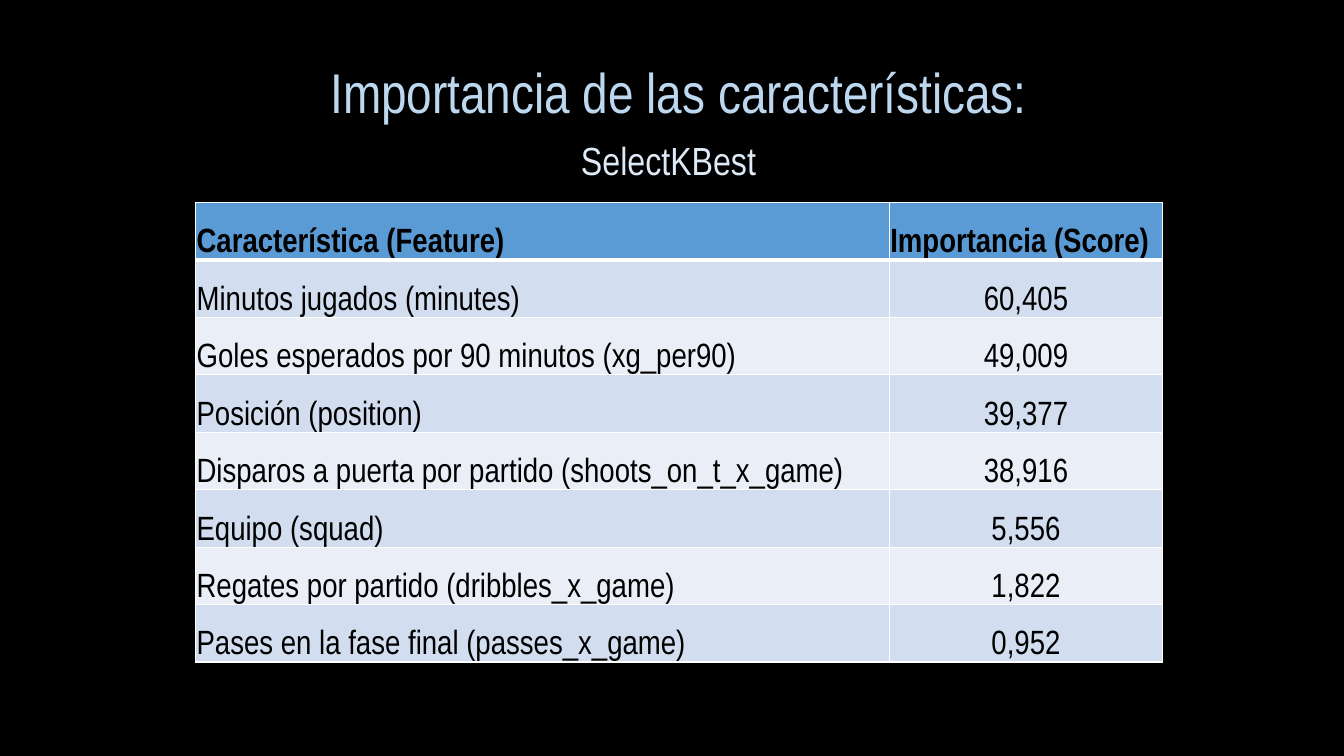
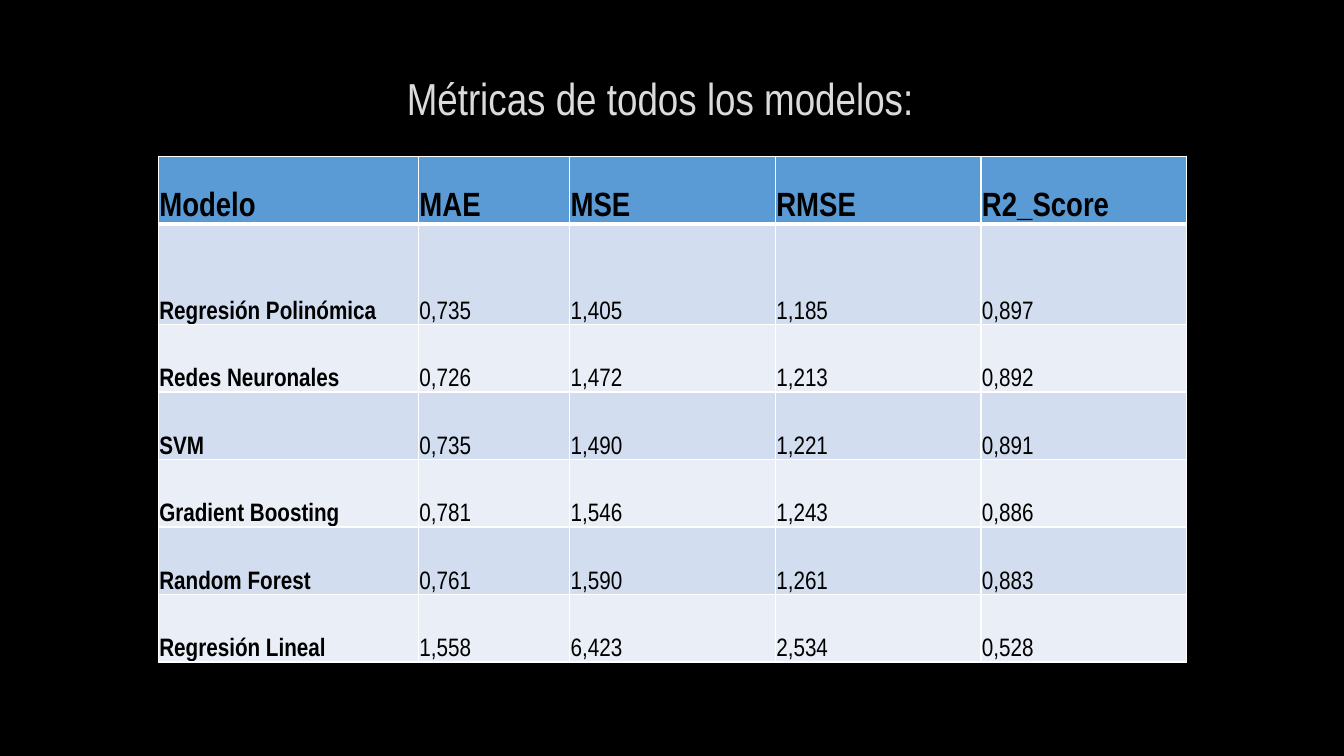
import dataclasses

import lxml.etree
import pptx
import pptx.dml.color
import pptx.enum.text
import pptx.oxml.ns
import pptx.util

Inches = pptx.util.Inches
Pt = pptx.util.Pt
Align = pptx.enum.text.PP_ALIGN
Anchor = pptx.enum.text.MSO_ANCHOR


@dataclasses.dataclass(frozen=True)
class Theme:
    font: str = "Arial Narrow"
    background: str = "000000"
    text: str = "000000"
    title_blue: str = "BDD7EE"
    subtitle_blue: str = "DEEBF7"
    title_gray: str = "DBDBDB"
    header_fill: str = "5B9BD5"
    band_fills: tuple = ("D2DEEF", "EAEFF7")
    border: str = "FFFFFF"
    thin_border: int = 1
    thick_border: int = 3
    title_size: int = 40
    small_title_size: int = 32
    subtitle_size: int = 28
    table_size: int = 24
    small_table_size: int = 18


THEME = Theme()
TITLE_ONLY_LAYOUT = 5
HEADING_WIDTH = 9.96

FEATURES = [
    ("Característica (Feature)", "Importancia (Score)"),
    ("Minutos jugados (minutes)", "60,405"),
    ("Goles esperados por 90 minutos (xg_per90)", "49,009"),
    ("Posición (position)", "39,377"),
    ("Disparos a puerta por partido (shoots_on_t_x_game)", "38,916"),
    ("Equipo (squad)", "5,556"),
    ("Regates por partido (dribbles_x_game)", "1,822"),
    ("Pases en la fase final (passes_x_game)", "0,952"),
]

METRICS = [
    ("Modelo", "MAE", "MSE", "RMSE", "R2_Score"),
    ("Regresión Polinómica", "0,735", "1,405", "1,185", "0,897"),
    ("Redes Neuronales", "0,726", "1,472", "1,213", "0,892"),
    ("SVM", "0,735", "1,490", "1,221", "0,891"),
    ("Gradient Boosting", "0,781", "1,546", "1,243", "0,886"),
    ("Random Forest", "0,761", "1,590", "1,261", "0,883"),
    ("Regresión Lineal", "1,558", "6,423", "2,534", "0,528"),
]


def rgb(color):
    return pptx.dml.color.RGBColor.from_string(color)


def format_paragraph(paragraph, size, color, alignment, bold=False):
    paragraph.alignment = alignment
    for run in paragraph.runs:
        run.font.name = THEME.font
        run.font.size = Pt(size)
        run.font.bold = bold
        run.font.color.rgb = rgb(color)


def format_heading(shape, text, left, top, height, size, color):
    shape.left, shape.top = Inches(left), Inches(top)
    shape.width, shape.height = Inches(HEADING_WIDTH), Inches(height)
    frame = shape.text_frame
    frame.text = text
    frame.word_wrap = True
    frame.auto_size = pptx.enum.text.MSO_AUTO_SIZE.NONE
    frame.vertical_anchor = Anchor.TOP
    format_paragraph(frame.paragraphs[0], size, color, Align.CENTER)


def add_titled_slide(presentation, text, left, top, height, size, color):
    slide = presentation.slides.add_slide(presentation.slide_layouts[TITLE_ONLY_LAYOUT])
    format_heading(slide.shapes.title, text, left, top, height, size, color)
    return slide


def add_subtitle(slide, text, left, top, height, size, color):
    shape = slide.shapes.add_textbox(0, 0, 0, 0)
    format_heading(shape, text, left, top, height, size, color)


def set_borders(cell, top, bottom):
    properties = cell._tc.get_or_add_tcPr()
    qualified = pptx.oxml.ns.qn
    thin = THEME.thin_border
    for side, width in (("L", thin), ("R", thin), ("T", top), ("B", bottom)):
        line = lxml.etree.SubElement(properties, qualified(f"a:ln{side}"), w=str(Pt(width)))
        fill = lxml.etree.SubElement(line, qualified("a:solidFill"))
        lxml.etree.SubElement(fill, qualified("a:srgbClr"), val=THEME.border)


def format_cell(cell, text, row, size, bold, alignment):
    thin, thick = THEME.thin_border, THEME.thick_border
    set_borders(cell, thick if row == 1 else thin, thick if row == 0 else thin)
    cell.fill.solid()
    cell.fill.fore_color.rgb = rgb(THEME.band_fills[(row - 1) % 2] if row else THEME.header_fill)
    cell.margin_left = cell.margin_top = cell.margin_right = Inches(0.01)
    cell.margin_bottom = 0
    cell.vertical_anchor = Anchor.BOTTOM
    cell.text = text
    format_paragraph(cell.text_frame.paragraphs[0], size, THEME.text, alignment, bold)


def add_data_table(slide, rows, left, top, widths, heights, body_size,
                   bold_labels=False, value_alignment=Align.LEFT):
    table = slide.shapes.add_table(
        len(rows), len(widths), Inches(left), Inches(top),
        Inches(sum(widths)), Inches(sum(heights))).table
    for column, width in zip(table.columns, widths):
        column.width = Inches(width)
    for table_row, height in zip(table.rows, heights):
        table_row.height = Inches(height)
    for row, values in enumerate(rows):
        for column, text in enumerate(values):
            is_header, is_label = row == 0, column == 0
            format_cell(
                table.cell(row, column), text, row,
                THEME.table_size if is_header else body_size,
                is_header or (is_label and bold_labels),
                Align.LEFT if is_header or is_label else value_alignment)


def add_features_slide(presentation):
    slide = add_titled_slide(presentation, "Importancia de las características:",
                             1.75, 0.52, 0.77, THEME.title_size, THEME.title_blue)
    add_subtitle(slide, "SelectKBest", 1.65, 1.3, 0.57,
                 THEME.subtitle_size, THEME.subtitle_blue)
    add_data_table(slide, FEATURES, 1.94, 2.01, [6.88, 2.71], [0.57] * len(FEATURES),
                   THEME.table_size, value_alignment=Align.CENTER)


def add_metrics_slide(presentation):
    slide = add_titled_slide(presentation, "Métricas de todos los modelos:",
                             1.57, 0.65, 0.64, THEME.small_title_size, THEME.title_gray)
    add_data_table(slide, METRICS, 1.57, 1.55, [2.58, 1.5] + [2.04] * 3,
                   [0.67, 1] + [0.67] * 5, THEME.small_table_size, bold_labels=True)


def main():
    presentation = pptx.Presentation()
    presentation.slide_width = Inches(13.33)
    presentation.slide_height = Inches(7.5)
    background = presentation.slide_master.background.fill
    background.solid()
    background.fore_color.rgb = rgb(THEME.background)
    add_features_slide(presentation)
    add_metrics_slide(presentation)
    presentation.save("out.pptx")


if __name__ == "__main__":
    main()
